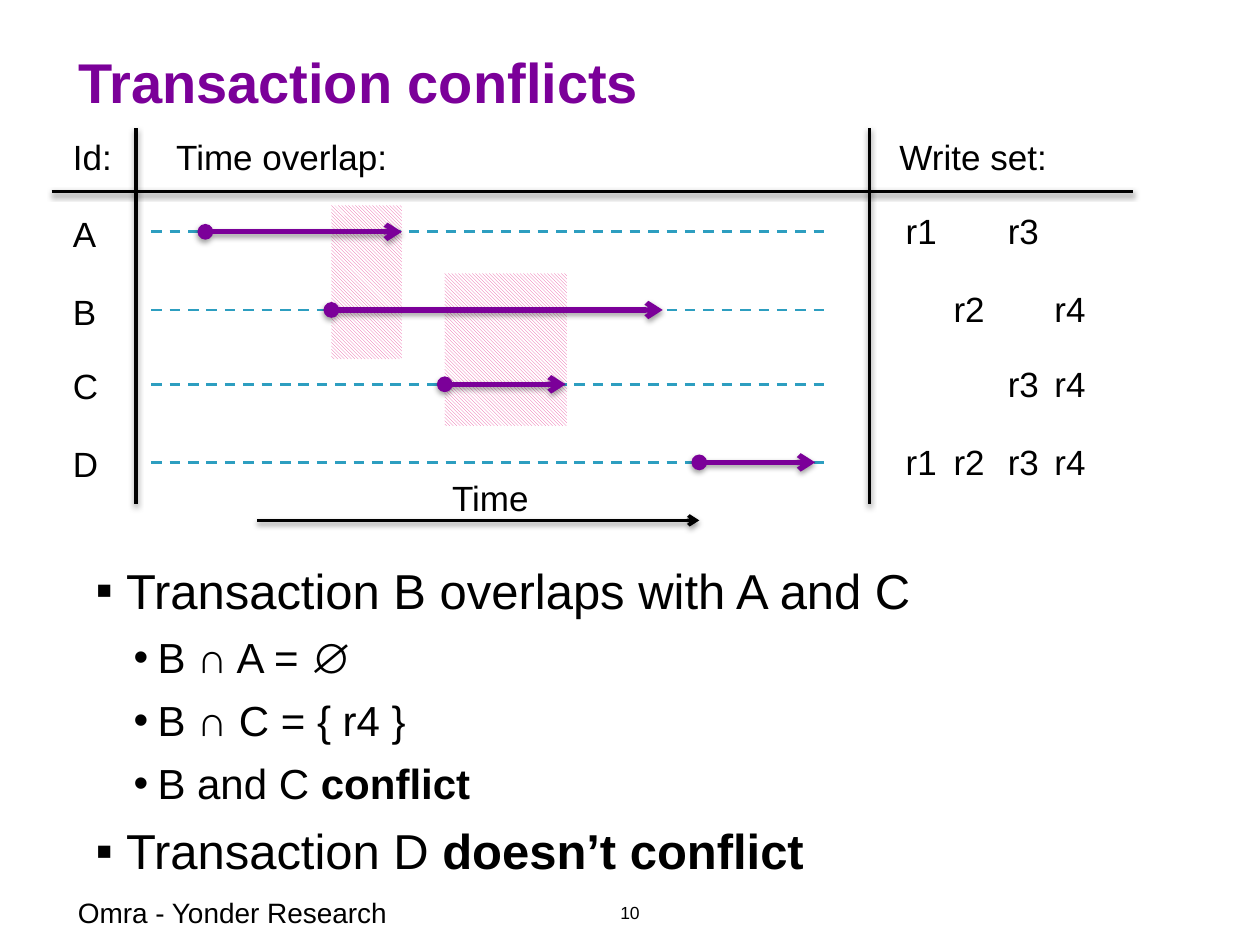
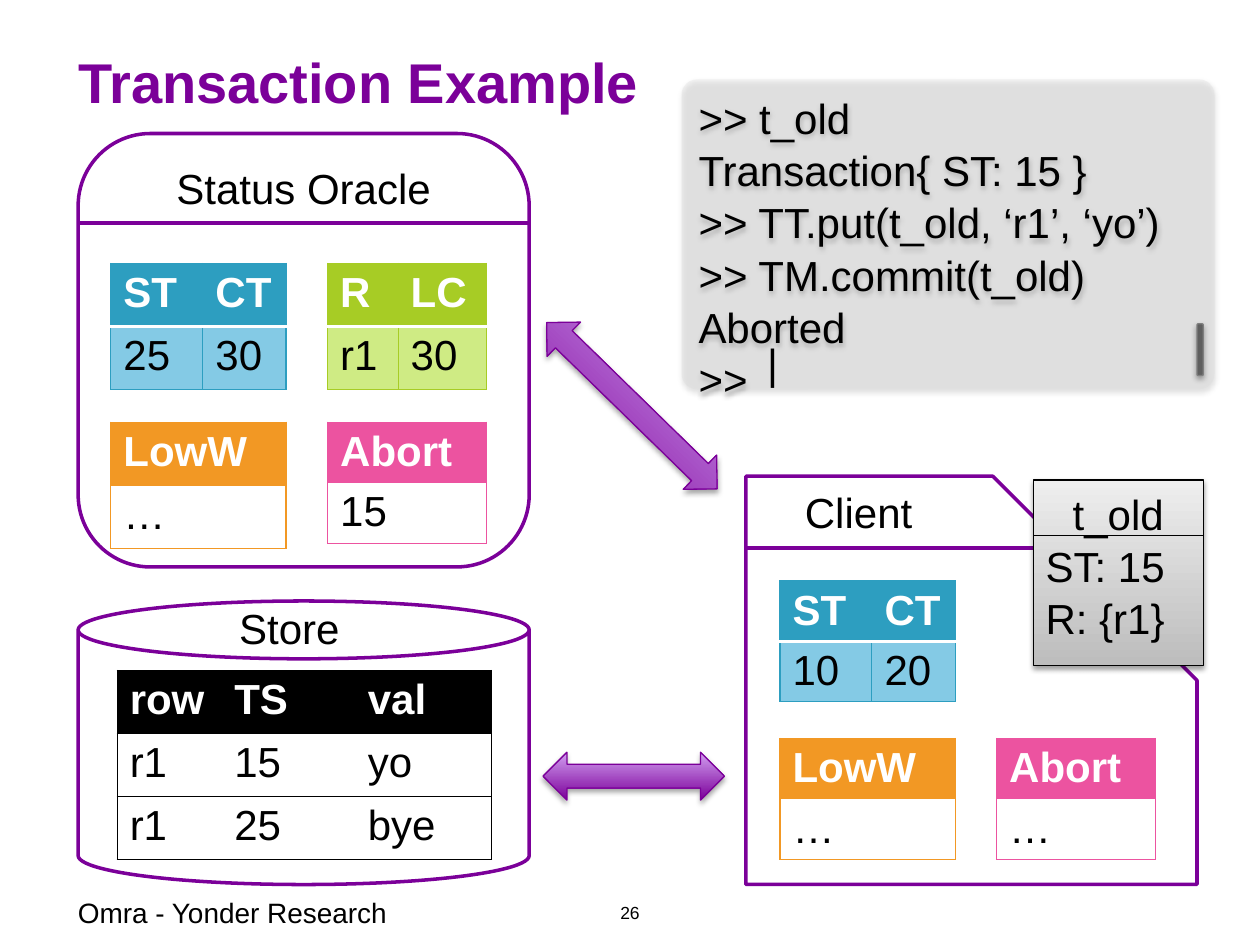
import pptx
import pptx.dml.color
import pptx.enum.dml
import pptx.enum.shapes
import pptx.enum.text
import pptx.oxml
import pptx.oxml.ns
import pptx.util
from pptx.util import Inches

FONT = "Arial"
PURPLE, PINK, BLUE, GREEN, ORANGE = "7B0099", "EC53A0", "2D9EC0", "A7CC25", "F29824"
PALE_BLUE, PALE_GREEN = "84CAE5", "CFEB84"
BLACK, WHITE = "000000", "FFFFFF"
FOOTER = "Omra - Yonder Research"
LINE_SPACING = 1.04
WRITE_TABS = (0.38, 0.81, 1.18)

SHAPE = pptx.enum.shapes.MSO_SHAPE
ALIGN = pptx.enum.text.PP_ALIGN
ANCHOR = pptx.enum.text.MSO_ANCHOR
qn = pptx.oxml.ns.qn


def rgb(value):
    return pptx.dml.color.RGBColor.from_string(value)


def xml(markup):
    """Parse a fragment such as '<a:tab .../>' in the drawing namespace."""
    head, mark, rest = markup.partition(" ") if " " in markup else (markup[:-2], "", "/>")
    return pptx.oxml.parse_xml(f"{head} {pptx.oxml.ns.nsdecls('a')} {rest}")


# Text

def style(paragraph, size, color=BLACK, bold=False, align=ALIGN.LEFT):
    paragraph.alignment = align
    for run in paragraph.runs:
        run.font.name = FONT
        run.font.size = pptx.util.Pt(size)
        run.font.bold = bold
        run.font.color.rgb = rgb(color)


def set_insets(frame, x, y):
    frame.margin_left = frame.margin_right = Inches(x)
    frame.margin_top = frame.margin_bottom = Inches(y)


def place(shape, left, top, width, height):
    shape.left, shape.top = Inches(left), Inches(top)
    shape.width, shape.height = Inches(width), Inches(height)


def add_label(slide, text, left, top, width, height=0.44, size=20,
              align=ALIGN.LEFT, tabs=()):
    label = slide.shapes.add_textbox(Inches(left), Inches(top), Inches(width), Inches(height))
    frame = label.text_frame
    frame.word_wrap = True
    frame.vertical_anchor = ANCHOR.MIDDLE
    frame.text = text
    paragraph = frame.paragraphs[0]
    style(paragraph, size, align=align)
    if tabs:
        stops = xml("<a:tabLst />")
        for stop in tabs:
            stops.append(xml(f'<a:tab pos="{Inches(stop)}" algn="l"/>'))
        paragraph._p.get_or_add_pPr().append(stops)
    return label


def write_lines(shape, lines, centred=0):
    """Fill a shape with 24 point lines, the first `centred` of them centred."""
    frame = shape.text_frame
    frame.word_wrap = True
    frame.vertical_anchor = ANCHOR.TOP
    frame.text = "\n".join(lines)
    for index, paragraph in enumerate(frame.paragraphs):
        style(paragraph, 24, align=ALIGN.CENTER if index < centred else ALIGN.LEFT)
        paragraph.line_spacing = LINE_SPACING


def add_bullet(paragraph, level, plain, strong=""):
    paragraph.level = level
    paragraph.text = plain
    size, char, margin, hang = ((28, "▪", 0.38, 0.24), (24, "•", 0.63, 0.19))[level]
    style(paragraph, size)
    if strong:
        run = paragraph.add_run()
        run.text = strong
        style(paragraph, size)
        run.font.bold = True
    paragraph.space_before = pptx.util.Pt(0)
    paragraph.space_after = pptx.util.Pt(6)
    paragraph.line_spacing = LINE_SPACING
    properties = paragraph._p.get_or_add_pPr()
    properties.set("marL", str(Inches(margin)))
    properties.set("indent", str(-Inches(hang)))
    properties.append(xml(f'<a:buFont typeface="{FONT}"/>'))
    properties.append(xml(f'<a:buChar char="{char}"/>'))


# Shapes and lines

def cast_shadow(element, alpha=38, distance=20000):
    effects = element.spPr.find(qn("a:effectLst"))
    shadow = xml(f'<a:outerShdw blurRad="40000" dist="{distance}" dir="5400000" rotWithShape="0"/>')
    color = xml(f'<a:srgbClr val="{BLACK}"/>')
    color.append(xml(f'<a:alpha val="{alpha * 1000}"/>'))
    shadow.append(color)
    effects.append(shadow)


def add_line(slide, start, end, color=BLACK, width=2.0, dashed=False,
             head=None, tail=None, shadow=False):
    line = slide.shapes.add_connector(pptx.enum.shapes.MSO_CONNECTOR.STRAIGHT,
                                      *(Inches(value) for value in (*start, *end)))
    line.line.color.rgb = rgb(color)
    line.line.width = pptx.util.Pt(width)
    if dashed:
        line.line.dash_style = pptx.enum.dml.MSO_LINE.DASH
    outline = line._element.spPr.find(qn("a:ln"))
    for tag, kind in (("headEnd", head), ("tailEnd", tail)):
        if kind:
            outline.append(xml(f'<a:{tag} type="{kind}"/>'))
    line._element.spPr.append(xml("<a:effectLst />"))
    if shadow:
        cast_shadow(line._element)
    return line


def add_block(slide, kind, left, top, width, height, fill=None, line=None,
              line_width=2.0, adjust=None, gradient=None):
    block = slide.shapes.add_shape(kind, Inches(left), Inches(top), Inches(width), Inches(height))
    block.shadow.inherit = False
    if adjust is not None:
        block.adjustments[0] = adjust
    if gradient:
        block.fill.gradient()
        block.fill.gradient_angle = 90
        for stop, color in zip(block.fill.gradient_stops, gradient):
            stop.color.rgb = rgb(color)
    elif fill:
        block.fill.solid()
        block.fill.fore_color.rgb = rgb(fill)
    if line:
        block.line.color.rgb = rgb(line)
        block.line.width = pptx.util.Pt(line_width)
    else:
        block.line.fill.background()
    return block


def add_overlap(slide, left, top, width, height):
    overlap = add_block(slide, SHAPE.RECTANGLE, left, top, width, height)
    overlap.fill.patterned()
    overlap.fill.pattern = pptx.enum.dml.MSO_PATTERN.LIGHT_DOWNWARD_DIAGONAL
    overlap.fill.fore_color.rgb = rgb(PINK)
    overlap.fill.back_color.rgb = rgb(WHITE)


def add_exchange(slide, left, top, width, rotation=0):
    arrow = add_block(slide, SHAPE.LEFT_RIGHT_ARROW, left, top, width, 0.38,
                      line=PURPLE, line_width=0.75, gradient=(PURPLE, "D29FF1"))
    arrow.rotation = rotation
    cast_shadow(arrow._element, 35, 23000)


# Tables

def set_border(cell, side, color, width=0.75):
    border = xml(f'<a:ln{side} w="{pptx.util.Pt(width)}"/>')
    if color:
        fill = xml("<a:solidFill />")
        fill.append(xml(f'<a:srgbClr val="{color}"/>'))
    else:
        fill = xml("<a:noFill />")
    border.append(fill)
    cell._tc.get_or_add_tcPr().append(border)


def add_state_table(slide, left, top, widths, rows, color, body=WHITE,
                    row_height=0.5, columns_ruled=True, header_ruled=False):
    table = slide.shapes.add_table(len(rows), len(widths), Inches(left), Inches(top),
                                   Inches(sum(widths)), Inches(row_height * len(rows))).table
    table.horz_banding = False
    for column, width in zip(table.columns, widths):
        column.width = Inches(width)
    for r, values in enumerate(rows):
        table.rows[r].height = Inches(row_height)
        for c, value in enumerate(values):
            cell = table.cell(r, c)
            set_border(cell, "L", color if columns_ruled or c == 0 else None)
            set_border(cell, "R", color if columns_ruled or c == len(widths) - 1 else None)
            rule = (WHITE, 2) if header_ruled else (color, 0.75)
            set_border(cell, "T", *(rule if r == 1 else (color, 0.75)))
            set_border(cell, "B", *(rule if r == 0 else (color, 0.75)))
            cell.fill.solid()
            cell.fill.fore_color.rgb = rgb(body if r else color)
            cell.margin_top, cell.margin_bottom = Inches(0.05), Inches(0.03)
            cell.text = value
            style(cell.text_frame.paragraphs[0], 24, BLACK if r else WHITE, bold=r == 0)


# Slides

def start_slide(deck, layout, title, number):
    slide = deck.slides.add_slide(deck.slide_layouts[layout])
    heading = slide.shapes.title
    place(heading, 0.52, 0.22, 8.98, 0.84)
    heading.text_frame.text = title
    heading.text_frame.vertical_anchor = ANCHOR.MIDDLE
    set_insets(heading.text_frame, 0.1, 0.1)
    style(heading.text_frame.paragraphs[0], 32, PURPLE, bold=True)
    footer = add_label(slide, FOOTER, 0.52, 7.04, 4.21, 0.4, size=16)
    page = add_label(slide, str(number), 4.73, 7.04, 0.54, 0.4, size=10, align=ALIGN.CENTER)
    for part in (footer, page):
        set_insets(part.text_frame, 0.1, 0.1)
    return slide


def build_conflicts(deck):
    slide = start_slide(deck, 1, "Transaction conflicts", 10)
    add_overlap(slide, 3.53, 2.17, 0.97, 1.21)
    add_overlap(slide, 2.63, 1.63, 0.56, 1.22)

    # Chart heads and rules
    for text, left, width in (("Id:", 0.48, 0.88), ("Time overlap:", 1.3, 1.9),
                              ("Write set:", 7.04, 1.39)):
        add_label(slide, text, left, 1.02, width)
    add_line(slide, (0.41, 1.52), (8.99, 1.52), shadow=True)
    for x in (1.08, 6.9):
        add_line(slide, (x, 1.02), (x, 4), shadow=True)

    # One row per transaction: id, height, start, end, write set
    transactions = (("A", 1.84, 1.63, 3.19, "r1\t\tr3"),
                    ("B", 2.46, 2.63, 5.26, "\tr2\t\tr4"),
                    ("C", 3.05, 3.53, 4.49, "\t\tr3\tr4"),
                    ("D", 3.67, 5.55, 6.47, "r1\tr2\tr3\tr4"))
    for name, y, start, end, writes in transactions:
        add_label(slide, name, 0.48, y - 0.21, 0.6)
        add_line(slide, (1.2, y), (6.57, y), BLUE, 1.5, dashed=True)
        add_line(slide, (start, y), (end, y), PURPLE, 3, head="oval", tail="arrow", shadow=True)
        add_label(slide, writes, 7.09, y - 0.23, 1.9, tabs=WRITE_TABS)

    # Time axis
    add_line(slide, (2.04, 4.13), (5.55, 4.13), tail="arrow", shadow=True)
    add_label(slide, "Time", 3.49, 3.73, 0.83)

    # Findings
    findings = slide.placeholders[1]
    place(findings, 0.52, 4.33, 9.06, 2.63)
    frame = findings.text_frame
    frame.auto_size = pptx.enum.text.MSO_AUTO_SIZE.NONE
    set_insets(frame, 0.1, 0.1)
    points = ((0, "Transaction B overlaps with A and C"), (1, "B ∩ A = ∅"),
              (1, "B ∩ C = { r4 }"), (1, "B and C ", "conflict"),
              (0, "Transaction D ", "doesn’t conflict"))
    for index, point in enumerate(points):
        add_bullet(frame.add_paragraph() if index else frame.paragraphs[0], *point)


def build_example(deck):
    slide = start_slide(deck, 5, "Transaction Example", 26)

    # Containers
    oracle = add_block(slide, SHAPE.ROUNDED_RECTANGLE, 0.62, 1.06, 3.58, 3.44, WHITE, PURPLE)
    write_lines(oracle, ["Status Oracle"], centred=1)
    add_line(slide, (0.62, 1.77), (4.2, 1.77), PURPLE)
    add_block(slide, SHAPE.SNIP_1_RECTANGLE, 5.92, 3.78, 3.58, 3.24, WHITE, PURPLE, adjust=0.5)
    add_line(slide, (5.92, 4.35), (8.44, 4.35), PURPLE)
    add_label(slide, "Client", 6.29, 3.81, 2.66, 0.5, 24)
    add_block(slide, SHAPE.CAN, 0.62, 4.77, 3.58, 2.25, WHITE, PURPLE, adjust=0.204)
    add_label(slide, "Store", 1.8, 4.73, 2.35, 0.5, 24)

    # Commit times, low watermark and aborted lists of the oracle and the client
    for left, top, gap, height, times, aborted in (
            (0.88, 2.09, 1.26, 0.5, ["25", "30"], "15"),
            (6.19, 4.61, 1.25, 0.47, ["10", "20"], "…")):
        add_state_table(slide, left, top, (0.73, 0.66), [["ST", "CT"], times], BLUE,
                        PALE_BLUE, height, header_ruled=True)
        add_state_table(slide, left, top + gap, (1.39,), [["LowW"], ["…"]], ORANGE,
                        row_height=height)
        add_state_table(slide, left + 1.72, top + gap, (1.26,), [["Abort"], [aborted]], PINK,
                        row_height=0.47)
    add_state_table(slide, 2.6, 2.09, (0.56, 0.7), [["R", "LC"], ["r1", "30"]], GREEN,
                    PALE_GREEN, header_ruled=True)
    add_state_table(slide, 0.93, 5.32, (0.83, 1.06, 1.08),
                    [["row", "TS", "val"], ["r1", "15", "yo"], ["r1", "25", "bye"]], BLACK,
                    columns_ruled=False)

    # Exchanges with the client
    add_exchange(slide, 4.31, 5.97, 1.44)
    add_exchange(slide, 4.07, 3.03, 1.89, 44.3)

    # Terminal with cursor and scroll bar
    terminal = add_block(slide, SHAPE.ROUNDED_RECTANGLE, 5.41, 0.63, 4.23, 2.46, "D9D9D9",
                         adjust=0.05)
    terminal._element.spPr.find(qn("a:solidFill"))[0].append(xml('<a:alpha val="29000"/>'))
    cast_shadow(terminal._element)
    write_lines(terminal, [">> t_old", "Transaction{ ST: 15 }", ">> TT.put(t_old, ‘r1’, ‘yo’)",
                           ">> TM.commit(t_old)", "Aborted", ">>"])
    add_label(slide, "|", 5.99, 2.63, 0.24, 0.5, 24)
    scroll_bar = add_block(slide, SHAPE.ROUNDED_RECTANGLE, 9.5, 2.57, 0.05, 0.41, "5F5F5F",
                           "7F7F7F", 0.75)
    cast_shadow(scroll_bar._element, 35, 23000)

    # Transaction object
    t_old = add_block(slide, SHAPE.RECTANGLE, 8.2, 3.81, 1.35, 1.47, line=BLACK,
                      line_width=0.75, gradient=("BDBDBD", "EEEEEE"))
    cast_shadow(t_old._element)
    write_lines(t_old, ["t_old", "ST: 15", "R: {r1}"], centred=1)
    add_line(slide, (8.2, 4.25), (9.55, 4.25), width=0.75)


def main():
    deck = pptx.Presentation()
    deck.slide_width, deck.slide_height = Inches(10), Inches(7.5)
    build_conflicts(deck)
    build_example(deck)
    deck.save("out.pptx")


if __name__ == "__main__":
    main()
